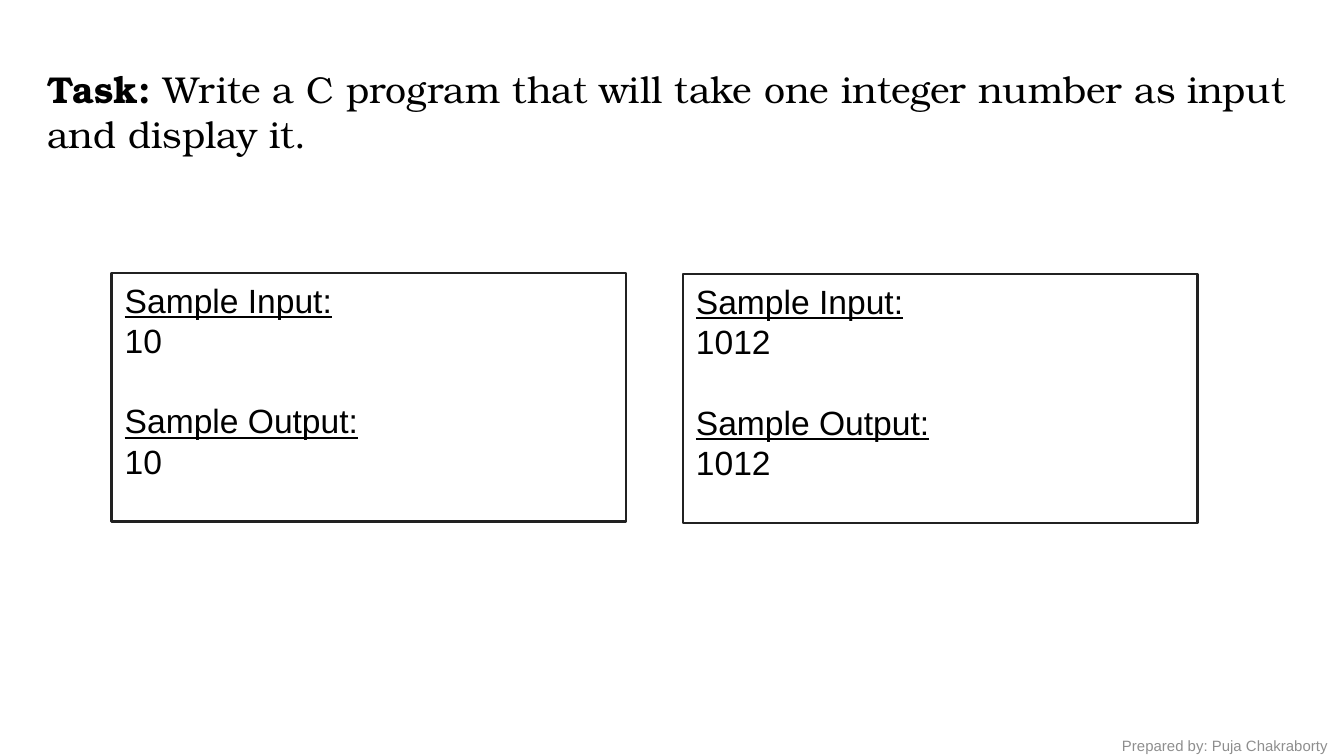
from pptx import Presentation
from pptx import util as u
from pptx.dml.color import RGBColor
from pptx.enum import shapes, text

COLOURS = {"ink": "000000", "border": "212121", "credit": "8E8E8E"}
BODY_FONT = "Arial"
TASK_FONT = "TeX Gyre Bonum"
TITLE_ONLY = 5
PAGE_WIDTH = 10


class TaskPage:
    def __init__(self, deck):
        self.page = deck.slides.add_slide(deck.slide_layouts[TITLE_ONLY])

    def place(self, shape, left, top, width, height):
        shape.left, shape.top = u.Inches(left), u.Inches(top)
        shape.width, shape.height = u.Inches(width), u.Inches(height)

    def style(self, span, size, font=BODY_FONT, colour="ink"):
        span.font.size = u.Pt(size)
        span.font.name = font
        span.font.color.rgb = RGBColor.from_string(COLOURS[colour])

    def set_frame(self, frame):
        frame.word_wrap = True
        frame.auto_size = text.MSO_AUTO_SIZE.NONE
        frame.vertical_anchor = text.MSO_ANCHOR.TOP

    def title(self, label, wording):
        box = self.page.shapes.title
        self.place(box, 0.25, 0.44, 9.58, 0.77)
        self.set_frame(box.text_frame)
        para = box.text_frame.paragraphs[0]
        para.alignment = text.PP_ALIGN.LEFT
        for words, bold in ((label, True), (wording, False)):
            span = para.add_run()
            span.text = words
            self.style(span, 20, TASK_FONT)
            span.font.bold = bold

    def sample(self, left, top, number):
        """Draw a bordered box with a sample input and its output."""
        box = self.page.shapes.add_shape(
            shapes.MSO_SHAPE.RECTANGLE, u.Inches(left), u.Inches(top),
            u.Inches(3.83), u.Inches(1.85))
        box.shadow.inherit = False
        box.fill.background()
        box.line.color.rgb = RGBColor.from_string(COLOURS["border"])
        box.line.width = u.Pt(1.25)
        frame = box.text_frame
        self.set_frame(frame)
        frame.text = f"Sample Input:\n{number}\nSample Output:\n{number}"
        line_height = u.Pt(21.6)
        for index, para in enumerate(frame.paragraphs):
            para.alignment = text.PP_ALIGN.LEFT
            para.line_spacing = line_height
            span = para.runs[0]
            self.style(span, 18)
            span.font.underline = index % 2 == 0
        frame.paragraphs[2].space_before = line_height

    def credit(self, wording):
        box = self.page.shapes.add_textbox(
            u.Inches(8.25), u.Inches(5.43), u.Inches(1.83), u.Inches(0.24))
        self.set_frame(box.text_frame)
        box.text_frame.text = wording
        self.style(box.text_frame.paragraphs[0].runs[0], 8, colour="credit")


def main():
    deck = Presentation()
    deck.slide_width = u.Inches(PAGE_WIDTH)
    deck.slide_height = u.Inches(PAGE_WIDTH * 9 / 16)
    page = TaskPage(deck)
    page.credit("Prepared by: Puja Chakraborty")
    page.title("Task: ", "Write a C program that will take one integer number "
                         "as input and display it.")
    page.sample(0.83, 2.03, 10)
    page.sample(5.08, 2.04, 1012)
    deck.save("out.pptx")


if __name__ == "__main__":
    main()
